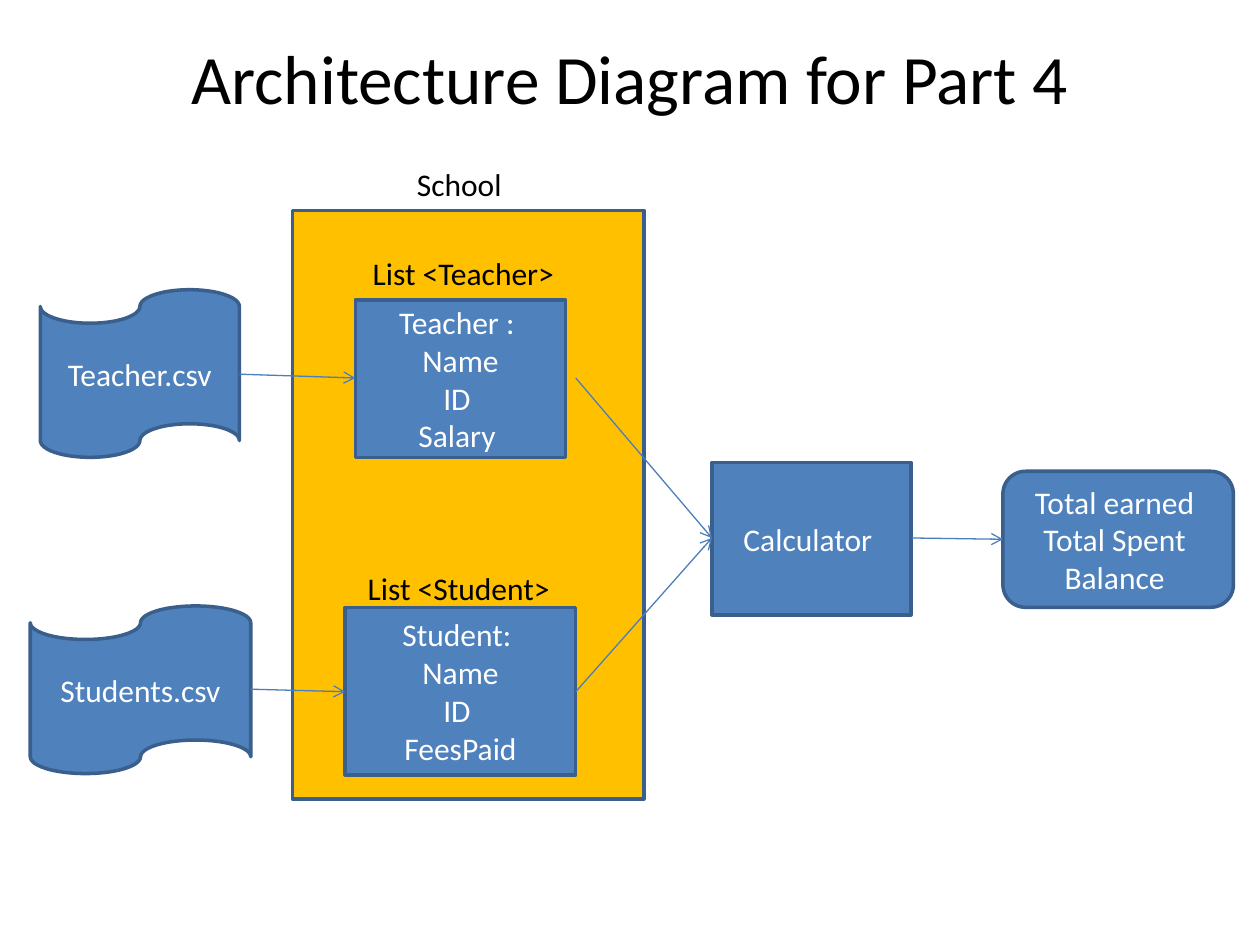
"""Build the architecture diagram slide for part 4."""
import lxml.etree
import pptx
import pptx.dml.color
import pptx.enum.shapes
import pptx.enum.text
import pptx.oxml.ns
import pptx.util

Inches = pptx.util.Inches
RGBColor = pptx.dml.color.RGBColor
Shape = pptx.enum.shapes.MSO_SHAPE

BLUE = RGBColor(0x4F, 0x81, 0xBD)
EDGE = RGBColor(0x3A, 0x5F, 0x8C)
ARROW = RGBColor(0x4B, 0x7E, 0xBC)
AMBER = RGBColor(0xFF, 0xC0, 0x00)
WHITE = RGBColor(0xFF, 0xFF, 0xFF)
BLACK = RGBColor(0x00, 0x00, 0x00)


class Diagram:
    font_name = "Calibri"
    body_size = 18
    box_format = {"vertical_anchor": pptx.enum.text.MSO_ANCHOR.MIDDLE, "word_wrap": True}
    label_format = {
        "word_wrap": False,
        "auto_size": pptx.enum.text.MSO_AUTO_SIZE.SHAPE_TO_FIT_TEXT,
    }

    def __init__(self, slide):
        self.slide = slide

    def apply(self, target, values):
        for name, value in values.items():
            setattr(target, name, value)

    def fill_text(self, frame, lines, color, size=body_size, centred=True):
        frame.text = "\n".join(lines)
        font_format = {"name": self.font_name, "size": pptx.util.Pt(size)}
        for paragraph in frame.paragraphs:
            if centred:
                paragraph.alignment = pptx.enum.text.PP_ALIGN.CENTER
            for run in paragraph.runs:
                self.apply(run.font, font_format)
                run.font.color.rgb = color

    def title(self, text, left, top, width, height):
        heading = self.slide.shapes.title
        place = {"left": left, "top": top, "width": width, "height": height}
        self.apply(heading, {name: Inches(value) for name, value in place.items()})
        self.apply(heading.text_frame, self.box_format)
        self.fill_text(heading.text_frame, [text], BLACK, 39.6)

    def box(self, kind, place, lines=(), fill=BLUE):
        box = self.slide.shapes.add_shape(kind, *map(Inches, place))
        box.shadow.inherit = False
        box.fill.solid()
        box.fill.fore_color.rgb = fill
        box.line.color.rgb = EDGE
        box.line.width = pptx.util.Pt(2)
        if lines:
            self.apply(box.text_frame, self.box_format)
            self.fill_text(box.text_frame, lines, WHITE)

    def label(self, text, left, top, width):
        label = self.slide.shapes.add_textbox(*map(Inches, (left, top, width, 0.4)))
        self.apply(label.text_frame, self.label_format)
        self.fill_text(label.text_frame, [text], BLACK, centred=False)

    def arrow(self, start, end):
        arrow = self.slide.shapes.add_connector(
            pptx.enum.shapes.MSO_CONNECTOR.STRAIGHT, *map(Inches, start + end)
        )
        arrow.line.color.rgb = ARROW
        arrow.line.width = pptx.util.Pt(0.75)
        qn = pptx.oxml.ns.qn
        properties = arrow._element.spPr
        outline = properties.find(qn("a:ln"))
        lxml.etree.SubElement(outline, qn("a:tailEnd"), type="arrow")
        lxml.etree.SubElement(properties, qn("a:effectLst"))


def main():
    deck = pptx.Presentation()
    deck.slide_width, deck.slide_height = Inches(10), Inches(7.5)
    diagram = Diagram(deck.slides.add_slide(deck.slide_layouts[5]))
    diagram.title("Architecture Diagram for Part 4", 0.5, 0.3, 9, 0.62)

    diagram.box(Shape.RECTANGLE, (2.32, 1.67, 2.79, 4.67), fill=AMBER)
    components = [
        (Shape.RECTANGLE, (2.82, 2.38, 1.67, 1.25), ["Teacher : ", "Name", "ID ", "Salary "]),
        (Shape.RECTANGLE, (2.74, 4.82, 1.83, 1.33), ["Student: ", "Name", "ID ", "FeesPaid"]),
        (Shape.ROUNDED_RECTANGLE, (7.96, 3.74, 1.83, 1.08),
         ["Total earned ", "Total Spent ", "Balance "]),
        (Shape.FLOWCHART_PUNCHED_TAPE, (0.32, 2.3, 1.58, 1.33), ["Teacher.csv"]),
        (Shape.FLOWCHART_PUNCHED_TAPE, (0.24, 4.81, 1.75, 1.33), ["Students.csv"]),
        (Shape.RECTANGLE, (5.65, 3.67, 1.58, 1.21), ["Calculator "]),
    ]
    for kind, place, lines in components:
        diagram.box(kind, place, lines)

    calculator_entry = (5.65, 4.27)
    flows = [
        ((1.9, 2.97), (2.82, 3)),
        ((1.99, 5.47), (2.74, 5.49)),
        ((4.57, 3), calculator_entry),
        ((4.57, 5.49), calculator_entry),
        ((7.24, 4.27), (7.96, 4.28)),
    ]
    for start, end in flows:
        diagram.arrow(start, end)

    diagram.label("List <Student>", 2.82, 4.47, 1.66)
    diagram.label("List <Teacher>", 2.86, 1.97, 1.66)
    diagram.label("School", 3.21, 1.26, 0.88)
    deck.save("out.pptx")


if __name__ == "__main__":
    main()
